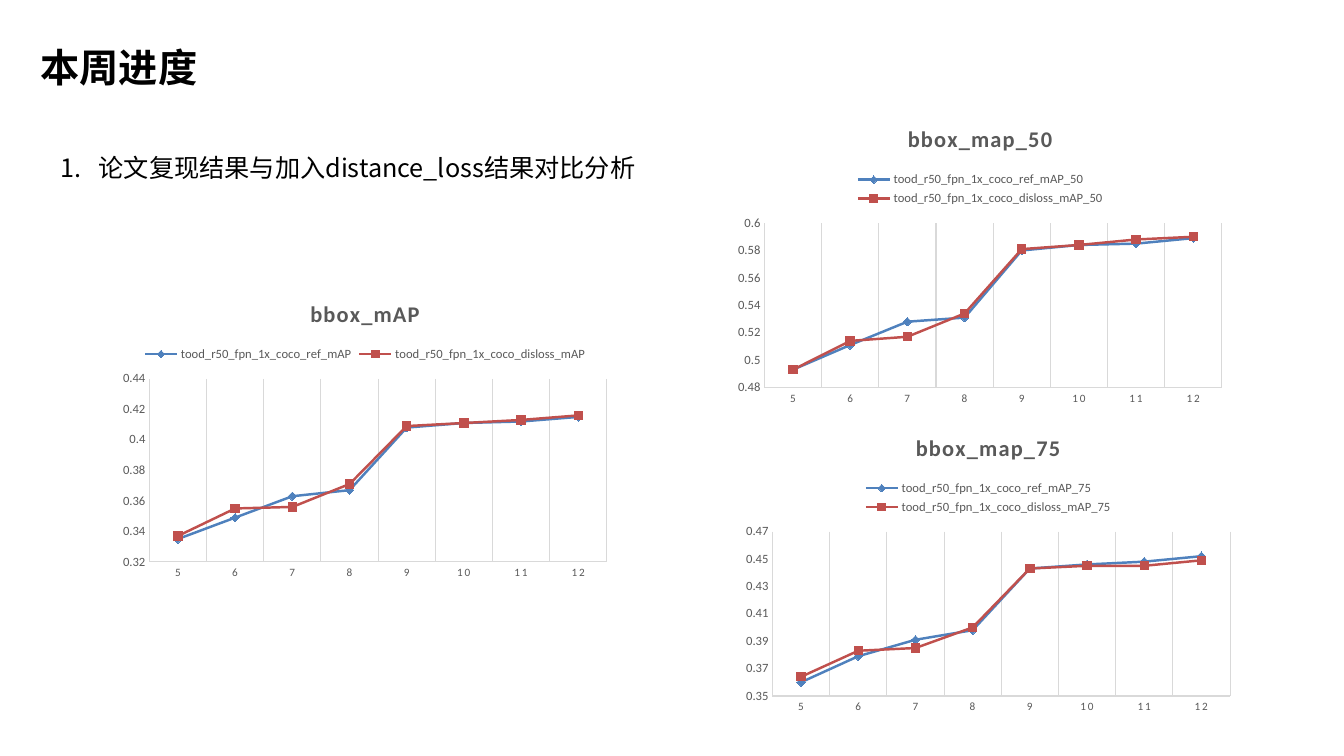
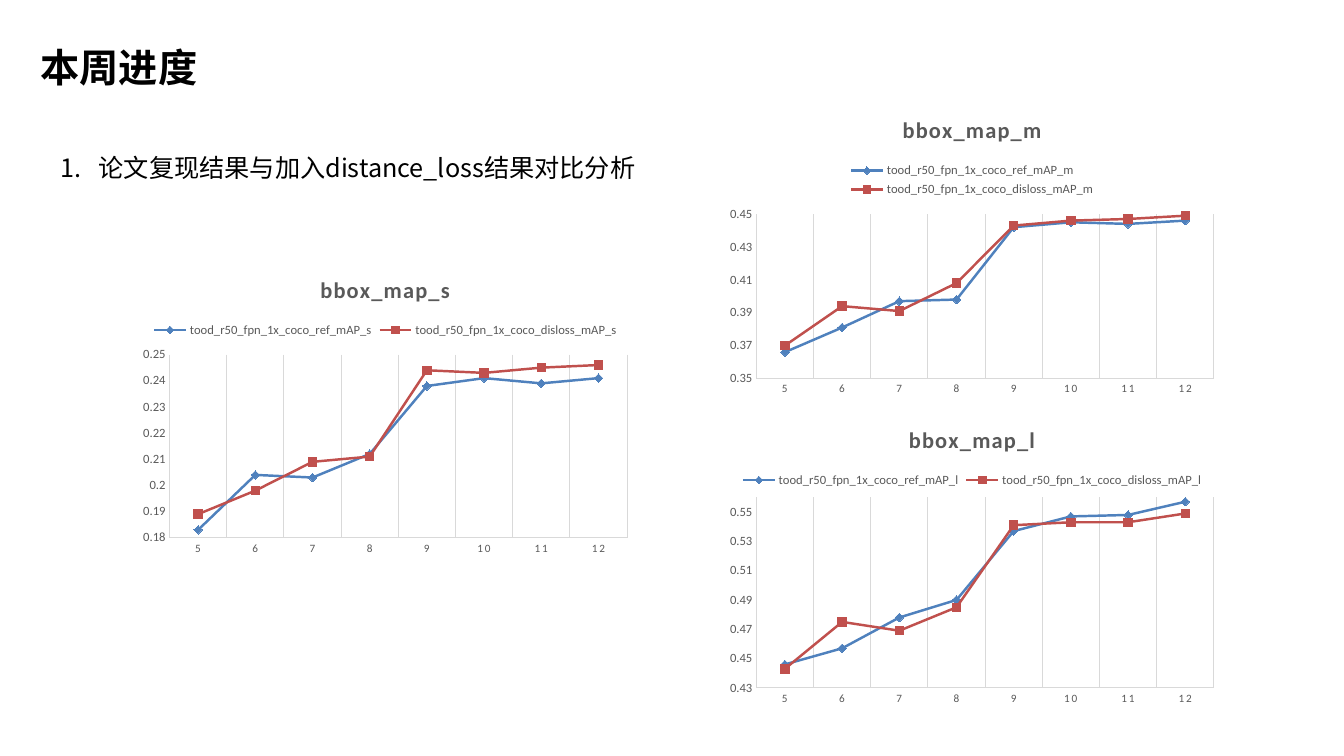
"""Builds two progress slides comparing detector training curves."""
from lxml.etree import SubElement
from pptx import Presentation
from pptx.chart.data import CategoryChartData
from pptx.dml.color import RGBColor
from pptx.enum.chart import (XL_CHART_TYPE as ChartType, XL_LEGEND_POSITION as LegendPosition,
                             XL_MARKER_STYLE as Marker, XL_TICK_MARK as TickMark)
from pptx.enum.text import MSO_ANCHOR as Anchor, MSO_AUTO_SIZE as AutoSize, PP_ALIGN as Align
from pptx.oxml.ns import qn
from pptx.util import Emu, Pt

BLACK = RGBColor(0x00, 0x00, 0x00)
GRAY = RGBColor(0x59, 0x59, 0x59)
RULE = RGBColor(0xD9, 0xD9, 0xD9)
BLUE = RGBColor(0x4F, 0x81, 0xBD)
RED = RGBColor(0xC0, 0x50, 0x4D)
TEXT_FONT = "Noto Sans CJK SC"
CHART_FONT = "Calibri"
PX = 9144
CHART_SIZE = (500, 300)

HEADING = "本周进度"
TOPIC = "论文复现结果与加入distance_loss结果对比分析"
EPOCHS = [str(epoch) for epoch in range(5, 13)]
RUNS = [("ref", BLUE, Marker.DIAMOND), ("disloss", RED, Marker.SQUARE)]

SLIDES = [
    [
        {"title": "bbox_mAP", "suffix": "", "at": (112, 281), "low": 0.32,
         "ref": [0.335, 0.349, 0.363, 0.367, 0.408, 0.411, 0.412, 0.415],
         "disloss": [0.337, 0.355, 0.356, 0.371, 0.409, 0.411, 0.413, 0.416]},
        {"title": "bbox_map_50", "suffix": "_50", "at": (722, 108), "low": 0.48,
         "ref": [0.493, 0.511, 0.528, 0.531, 0.58, 0.584, 0.585, 0.589],
         "disloss": [0.493, 0.514, 0.517, 0.534, 0.581, 0.584, 0.588, 0.59]},
        {"title": "bbox_map_75", "suffix": "_75", "at": (730, 414), "low": 0.35,
         "ref": [0.36, 0.379, 0.391, 0.398, 0.443, 0.446, 0.448, 0.452],
         "disloss": [0.364, 0.383, 0.385, 0.4, 0.443, 0.445, 0.445, 0.449]},
    ],
    [
        {"title": "bbox_map_s", "suffix": "_s", "at": (132, 257), "low": 0.18,
         "ref": [0.183, 0.204, 0.203, 0.212, 0.238, 0.241, 0.239, 0.241],
         "disloss": [0.189, 0.198, 0.209, 0.211, 0.244, 0.243, 0.245, 0.246]},
        {"title": "bbox_map_m", "suffix": "_m", "at": (714, 99), "low": 0.35, "high": 0.45,
         "ref": [0.366, 0.381, 0.397, 0.398, 0.442, 0.445, 0.444, 0.446],
         "disloss": [0.37, 0.394, 0.391, 0.408, 0.443, 0.446, 0.447, 0.449]},
        {"title": "bbox_map_l", "suffix": "_l", "at": (714, 406), "low": 0.43, "high": 0.56,
         "ref": [0.446, 0.457, 0.478, 0.49, 0.537, 0.547, 0.548, 0.557],
         "disloss": [0.443, 0.475, 0.469, 0.485, 0.541, 0.543, 0.543, 0.549]},
    ],
]


def px(*lengths):
    return [Emu(length * PX) for length in lengths]


def style_font(font, size, color, name=CHART_FONT, bold=False):
    font.size, font.name, font.bold = Pt(size), name, bold
    font.color.rgb = color


def write(holder, text, at, size, bold=False, align=Align.LEFT, numbered=False):
    holder.left, holder.top, holder.width, holder.height = px(*at)
    frame = holder.text_frame
    frame.word_wrap = True
    frame.auto_size = AutoSize.SHAPE_TO_FIT_TEXT
    frame.vertical_anchor = Anchor.TOP
    paragraph = frame.paragraphs[0]
    paragraph.alignment, paragraph.line_spacing = align, 1.5
    run = paragraph.add_run()
    run.text = text
    style_font(run.font, size, BLACK, TEXT_FONT, bold)
    SubElement(run.font._element, qn("a:ea"), typeface=TEXT_FONT)
    if numbered:
        properties = paragraph._p.get_or_add_pPr()
        indent = 38 * PX
        properties.set("marL", str(indent))
        properties.set("indent", str(-indent))
        SubElement(properties, qn("a:buFont"), typeface=TEXT_FONT)
        SubElement(properties, qn("a:buAutoNum"), type="arabicPeriod")


def style_line(line, color, width):
    line.color.rgb = color
    line.width = Pt(width)


def style_axis(axis, size, gridlines):
    axis.major_tick_mark = axis.minor_tick_mark = TickMark.NONE
    style_font(axis.tick_labels.font, size, GRAY)
    style_line(axis.format.line, RULE, 0.75)
    axis.has_major_gridlines = gridlines
    if gridlines:
        style_line(axis.major_gridlines.format.line, RULE, 0.75)


def add_curves(slide, metric):
    data = CategoryChartData()
    data.categories = EPOCHS
    for run, _, _ in RUNS:
        data.add_series(f"tood_r50_fpn_1x_coco_{run}_mAP{metric['suffix']}", metric[run])
    chart = slide.shapes.add_chart(
        ChartType.LINE_MARKERS, *px(*metric["at"], *CHART_SIZE), data).chart
    style_font(chart.font, 10, BLACK)

    chart.has_title = True
    title = chart.chart_title.text_frame.paragraphs[0].add_run()
    title.text = metric["title"]
    style_font(title.font, 16, GRAY, bold=True)
    title.font._element.set("spc", "100")
    chart.chart_title.include_in_layout = False

    chart.has_legend = True
    chart.legend.position = LegendPosition.TOP
    chart.legend.include_in_layout = False
    style_font(chart.legend.font, 9, GRAY)

    style_axis(chart.category_axis, 8, True)
    chart.category_axis.tick_labels.font._element.set("spc", "120")
    style_axis(chart.value_axis, 9, False)
    chart.value_axis.minimum_scale = metric["low"]
    if "high" in metric:
        chart.value_axis.maximum_scale = metric["high"]

    chart.plots[0].vary_by_categories = False
    for curve, (_, color, marker) in zip(chart.plots[0].series, RUNS):
        curve.smooth = False
        style_line(curve.format.line, color, 1.75)
        curve.marker.style, curve.marker.size = marker, 6
        curve.marker.format.fill.solid()
        curve.marker.format.fill.fore_color.rgb = color
        style_line(curve.marker.format.line, color, 0.75)


def main():
    deck = Presentation()
    deck.slide_width, deck.slide_height = px(1333, 750)
    for metrics in SLIDES:
        slide = deck.slides.add_slide(deck.slide_layouts[5])
        write(slide.shapes.title, HEADING, (29, 15, 178, 72), 28, bold=True, align=Align.CENTER)
        topic = slide.shapes.add_textbox(*px(50, 131, 1233, 51))
        write(topic, TOPIC, (50, 131, 1233, 51), 18, numbered=True)
        for metric in metrics:
            add_curves(slide, metric)
    deck.save("out.pptx")


if __name__ == "__main__":
    main()
